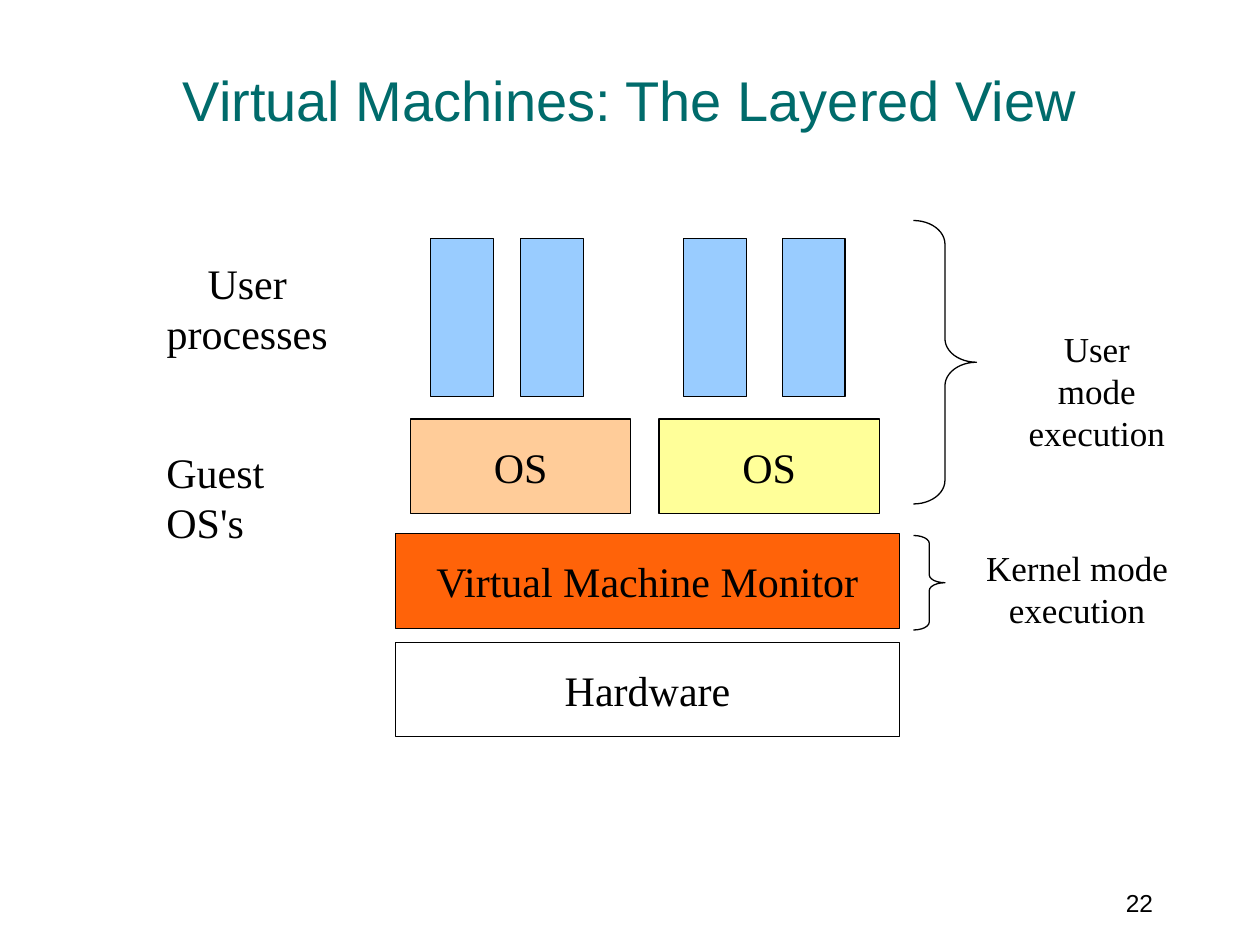
import dataclasses

import pptx
import pptx.dml.color
import pptx.enum.shapes
import pptx.enum.text
import pptx.util

Pt = pptx.util.Pt
Shape = pptx.enum.shapes.MSO_SHAPE
Align = pptx.enum.text.PP_ALIGN
Anchor = pptx.enum.text.MSO_ANCHOR


@dataclasses.dataclass(frozen=True)
class Theme:
    title_font: str = "Arial"
    body_font: str = "Times New Roman"
    title_size: int = 32
    body_size: int = 24
    note_size: int = 20
    number_size: int = 14
    ink: str = "000000"
    title: str = "006B6B"
    monitor: str = "FF6309"
    first_guest: str = "FFCC99"
    second_guest: str = "FFFF99"
    process: str = "99CCFF"


class LayerDiagram:
    def __init__(self, slide, theme):
        self.slide = slide
        self.theme = theme

    def color(self, value):
        return pptx.dml.color.RGBColor.from_string(value)

    def add_lines(self, frame, lines, size, font, color, align):
        paragraph = frame.paragraphs[0]
        paragraph.alignment = align
        for index, line in enumerate(lines):
            if index:
                paragraph.add_line_break()
            run = paragraph.add_run()
            run.text = line
            run.font.size = Pt(size)
            run.font.name = font
            run.font.color.rgb = self.color(color)

    def outline(self, kind, left, top, width, height):
        shape = self.slide.shapes.add_shape(kind, Pt(left), Pt(top), Pt(width), Pt(height))
        shape.shadow.inherit = False
        shape.fill.background()
        shape.line.color.rgb = self.color(self.theme.ink)
        shape.line.width = Pt(0)
        return shape

    def block(self, left, top, width, height, fill=None, caption=None):
        shape = self.outline(Shape.RECTANGLE, left, top, width, height)
        if fill:
            shape.fill.solid()
            shape.fill.fore_color.rgb = self.color(fill)
        if caption:
            shape.text_frame.vertical_anchor = Anchor.MIDDLE
            self.add_lines(shape.text_frame, [caption], self.theme.body_size,
                           self.theme.body_font, self.theme.ink, Align.CENTER)

    def brace(self, left, top, width, height, curve):
        shape = self.outline(Shape.RIGHT_BRACE, left, top, width, height)
        shape.adjustments[0] = curve

    def label(self, left, top, width, height, lines, size, font=None, color=None,
              align=Align.CENTER, anchor=Anchor.TOP, wrap=False):
        box = self.slide.shapes.add_textbox(Pt(left), Pt(top), Pt(width), Pt(height))
        box.text_frame.word_wrap = wrap
        box.text_frame.vertical_anchor = anchor
        self.add_lines(box.text_frame, lines, size, font or self.theme.body_font,
                       color or self.theme.ink, align)


def main():
    deck = pptx.Presentation()
    deck.slide_width, deck.slide_height = Pt(720), Pt(540)
    theme = Theme()
    diagram = LayerDiagram(deck.slides.add_slide(deck.slide_layouts[6]), theme)

    diagram.label(54, 26, 612, 61, ["Virtual Machines: The Layered View"], theme.title_size,
                  theme.title_font, theme.title, anchor=Anchor.MIDDLE, wrap=True)

    layer_height = 54
    for top, fill, caption in ((367, None, "Hardware"),
                               (305, theme.monitor, "Virtual Machine Monitor")):
        diagram.block(226, top, 288, layer_height, fill, caption)
    for left, fill in ((234.5, theme.first_guest), (376.5, theme.second_guest)):
        diagram.block(left, 239.5, 126, layer_height, fill, "OS")
    for left in (246, 297.5, 390.5, 447):
        diagram.block(left, 136.5, 36, 90, theme.process)

    diagram.label(88, 251.5, 120, 36, ["Guest OS's"], theme.body_size, align=Align.LEFT)
    diagram.label(88, 143.5, 106.5, 65, ["User", "processes"], theme.body_size)

    diagram.brace(522, 126, 36, 162, 0.375)
    diagram.brace(522, 306, 18, 54, 0.25)
    diagram.label(576, 183.5, 101.5, 55.5, ["User mode", "execution"], theme.note_size)
    diagram.label(556, 309, 119, 55.5, ["Kernel mode", "execution"], theme.note_size)

    diagram.label(516, 504, 150, 24.5, ["22"], theme.number_size, theme.title_font,
                  align=Align.RIGHT, wrap=True)
    deck.save("out.pptx")


if __name__ == "__main__":
    main()
